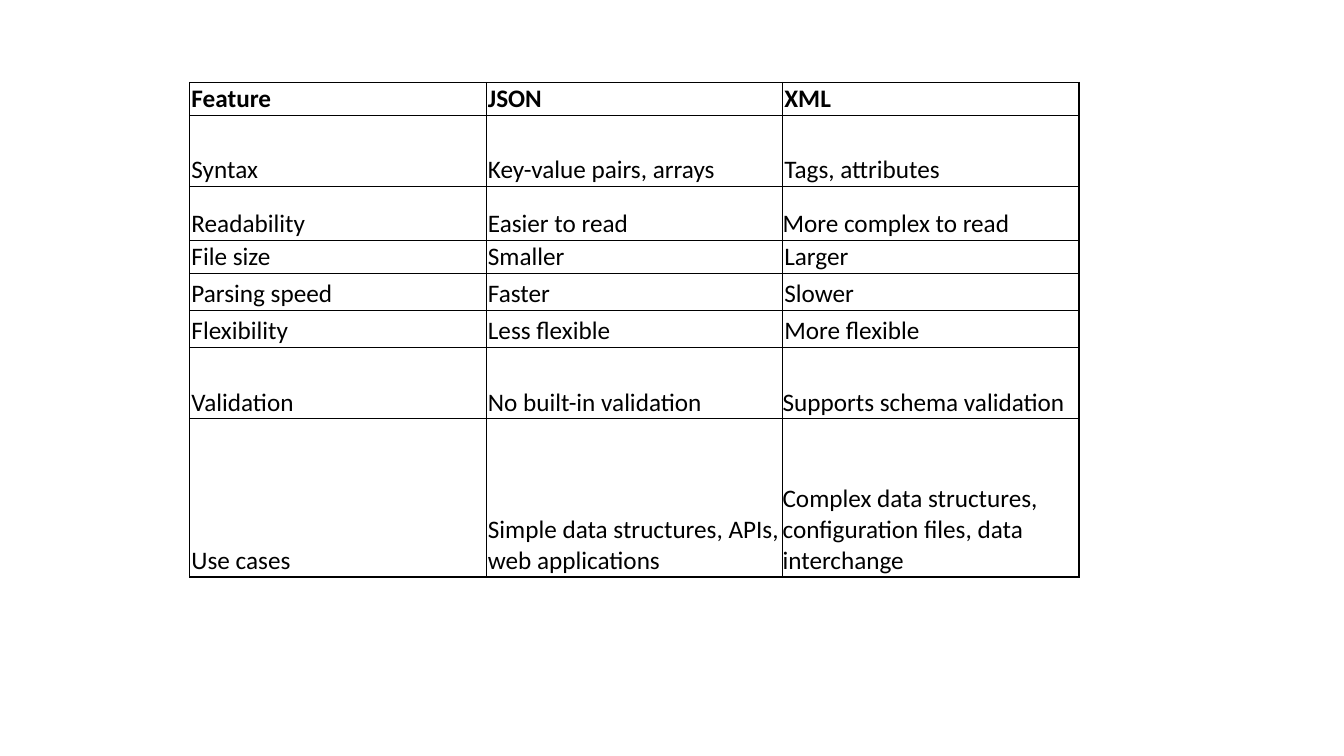
from lxml import etree
from pptx import Presentation
from pptx.dml.color import RGBColor
from pptx.enum.text import MSO_ANCHOR
from pptx.oxml.ns import qn
from pptx.util import Pt

BOTTOM = MSO_ANCHOR.BOTTOM
BLACK = "000000"
BORDER_SIDES = ("a:lnL", "a:lnR", "a:lnT", "a:lnB")
BORDER_WIDTH = 1

COMPARISON = [
    ("Feature", "JSON", "XML"),
    ("Syntax", "Key-value pairs, arrays", "Tags, attributes"),
    ("Readability", "Easier to read", "More complex to read"),
    ("File size", "Smaller", "Larger"),
    ("Parsing speed", "Faster", "Slower"),
    ("Flexibility", "Less flexible", "More flexible"),
    ("Validation", "No built-in validation", "Supports schema validation"),
    ("Use cases", "Simple data structures, APIs, web applications",
     "Complex data structures, configuration files, data interchange"),
]
ROW_HEIGHTS = [15, 51, 38.5, 15, 26.5, 26.5, 51, 113]
COLUMN_WIDTH = 211.75
TABLE_LEFT, TABLE_TOP = 135.5, 59
SIDE_MARGIN, END_MARGIN = 1.3, 0.7
FLUSH_CELLS = {(2, 2), (6, 2), (7, 2)}
FONT = {"name": "Calibri", "size": Pt(18)}


def color(hex_value):
    return RGBColor.from_string(hex_value)


def add_borders(cell):
    properties = cell._tc.get_or_add_tcPr()
    for side in BORDER_SIDES:
        line = etree.SubElement(properties, qn(side), w=str(Pt(BORDER_WIDTH)))
        fill = etree.SubElement(line, qn("a:solidFill"))
        etree.SubElement(fill, qn("a:srgbClr"), val=BLACK)


def fill_cell(cell, text, bold, side_margin):
    add_borders(cell)
    cell.fill.background()
    cell_format = {
        "vertical_anchor": BOTTOM,
        "margin_left": Pt(side_margin),
        "margin_right": Pt(side_margin),
        "margin_top": Pt(END_MARGIN),
        "margin_bottom": Pt(END_MARGIN),
    }
    for name, value in cell_format.items():
        setattr(cell, name, value)
    run = cell.text_frame.paragraphs[0].add_run()
    run.text = text
    for name, value in {**FONT, "bold": bold}.items():
        setattr(run.font, name, value)
    run.font.color.rgb = color(BLACK)


def add_comparison(slide):
    column_count = len(COMPARISON[0])
    table = slide.shapes.add_table(
        len(COMPARISON), column_count, Pt(TABLE_LEFT), Pt(TABLE_TOP),
        Pt(COLUMN_WIDTH * column_count), Pt(sum(ROW_HEIGHTS))).table
    table.horz_banding = False
    table.first_row = False
    for column in table.columns:
        column.width = Pt(COLUMN_WIDTH)
    for row_index, texts in enumerate(COMPARISON):
        table.rows[row_index].height = Pt(ROW_HEIGHTS[row_index])
        for column_index, text in enumerate(texts):
            flush = (row_index, column_index) in FLUSH_CELLS
            fill_cell(table.cell(row_index, column_index), text,
                      row_index == 0, 0 if flush else SIDE_MARGIN)


def main():
    presentation = Presentation()
    presentation.slide_width = Pt(960)
    presentation.slide_height = Pt(540)
    slide = presentation.slides.add_slide(presentation.slide_layouts[6])
    add_comparison(slide)
    presentation.save("out.pptx")


if __name__ == "__main__":
    main()
